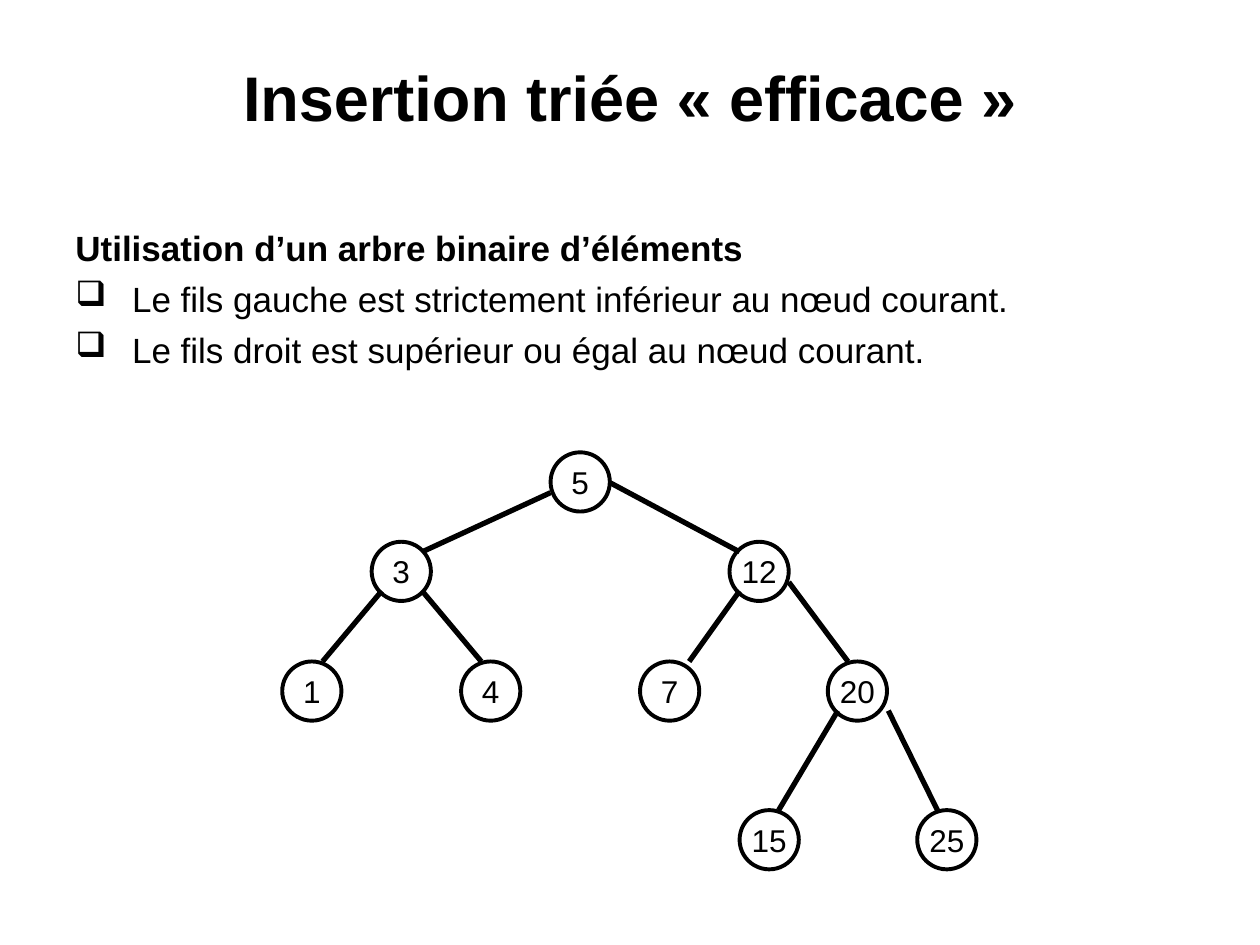
import pptx
import pptx.dml.color
import pptx.enum.shapes
import pptx.enum.text
import pptx.oxml
import pptx.oxml.ns
import pptx.util
from pptx.util import Inches

BLACK = pptx.dml.color.RGBColor(0, 0, 0)
WHITE = pptx.dml.color.RGBColor(255, 255, 255)
ALIGN = pptx.enum.text.PP_ALIGN
ANCHOR = pptx.enum.text.MSO_ANCHOR
NODE_SIZE = 0.47
BULLET_INDENT = 0.45


def write_text(paragraph, text, size=20, bold=False, align=ALIGN.LEFT, before=0, bullet=None):
    run = paragraph.add_run()
    run.text = text
    run.font.name = "Arial"
    run.font.size = pptx.util.Pt(size)
    run.font.bold = bold
    run.font.color.rgb = BLACK
    paragraph.alignment = align
    paragraph.space_before = pptx.util.Pt(before)
    if bullet:
        properties = paragraph._p.get_or_add_pPr()
        properties.set("marL", str(Inches(BULLET_INDENT)))
        properties.set("indent", str(-Inches(BULLET_INDENT)))
        pptx.oxml.ns.qn("a:buChar")
        mark = pptx.oxml.parse_xml(
            f'<a:buChar {pptx.oxml.ns.nsdecls("a")} char="{bullet}"/>')
        properties.append(mark)


presentation = pptx.Presentation()
presentation.slide_width = Inches(10)
presentation.slide_height = Inches(7.5)
slide = presentation.slides.add_slide(presentation.slide_layouts[6])

# Title
title = slide.shapes.add_textbox(Inches(0.5), Inches(0.3), Inches(9), Inches(0.93))
title.text_frame.word_wrap = True
title.text_frame.vertical_anchor = ANCHOR.MIDDLE
write_text(title.text_frame.paragraphs[0], "Insertion triée « efficace »",
           size=36, bold=True, align=ALIGN.CENTER)

# Rules of the binary tree
body = slide.shapes.add_textbox(Inches(0.5), Inches(1.75), Inches(9), Inches(1.69))
body.text_frame.word_wrap = True
write_text(body.text_frame.paragraphs[0], "Utilisation d’un arbre binaire d’éléments",
           bold=True, before=5)
for rule in ("Le fils gauche est strictement inférieur au nœud courant.",
             "Le fils droit est supérieur ou égal au nœud courant."):
    write_text(body.text_frame.add_paragraph(), rule, before=5, bullet="❑")

# Tree nodes: top of each level, then value and left of each node
levels = [
    (3.59, {"5": 4.37}),
    (4.30, {"3": 2.95, "12": 5.79}),
    (5.25, {"1": 2.24, "4": 3.66, "7": 5.08, "20": 6.57}),
    (6.43, {"15": 5.87, "25": 7.28}),
]
for top, nodes in levels:
    for value, left in nodes.items():
        node = slide.shapes.add_shape(
            pptx.enum.shapes.MSO_SHAPE.OVAL, Inches(left), Inches(top),
            Inches(NODE_SIZE), Inches(NODE_SIZE))
        node.shadow.inherit = False
        node.fill.solid()
        node.fill.fore_color.rgb = WHITE
        node.line.color.rgb = BLACK
        node.line.width = pptx.util.Pt(2.25)
        node.text_frame.word_wrap = False
        node.text_frame.vertical_anchor = ANCHOR.MIDDLE
        write_text(node.text_frame.paragraphs[0], value, size=18, align=ALIGN.CENTER)

# Branches from parent to child
branches = [
    (4.37, 3.91, 3.35, 4.38),  # 5 to 3
    (4.84, 3.83, 5.87, 4.38),  # 5 to 12
    (3.03, 4.69, 2.56, 5.25),  # 3 to 1
    (3.35, 4.69, 3.82, 5.25),  # 3 to 4
    (5.87, 4.69, 5.47, 5.25),  # 12 to 7
    (6.26, 4.62, 6.73, 5.25),  # 12 to 20
    (6.65, 5.64, 6.18, 6.43),  # 20 to 15
    (7.05, 5.64, 7.44, 6.43),  # 20 to 25
]
for ends in branches:
    branch = slide.shapes.add_connector(
        pptx.enum.shapes.MSO_CONNECTOR.STRAIGHT, *map(Inches, ends))
    branch.line.color.rgb = BLACK
    branch.line.width = pptx.util.Pt(3)
    branch._element.spPr.append(
        pptx.oxml.parse_xml(f'<a:effectLst {pptx.oxml.ns.nsdecls("a")}/>'))

presentation.save("out.pptx")
